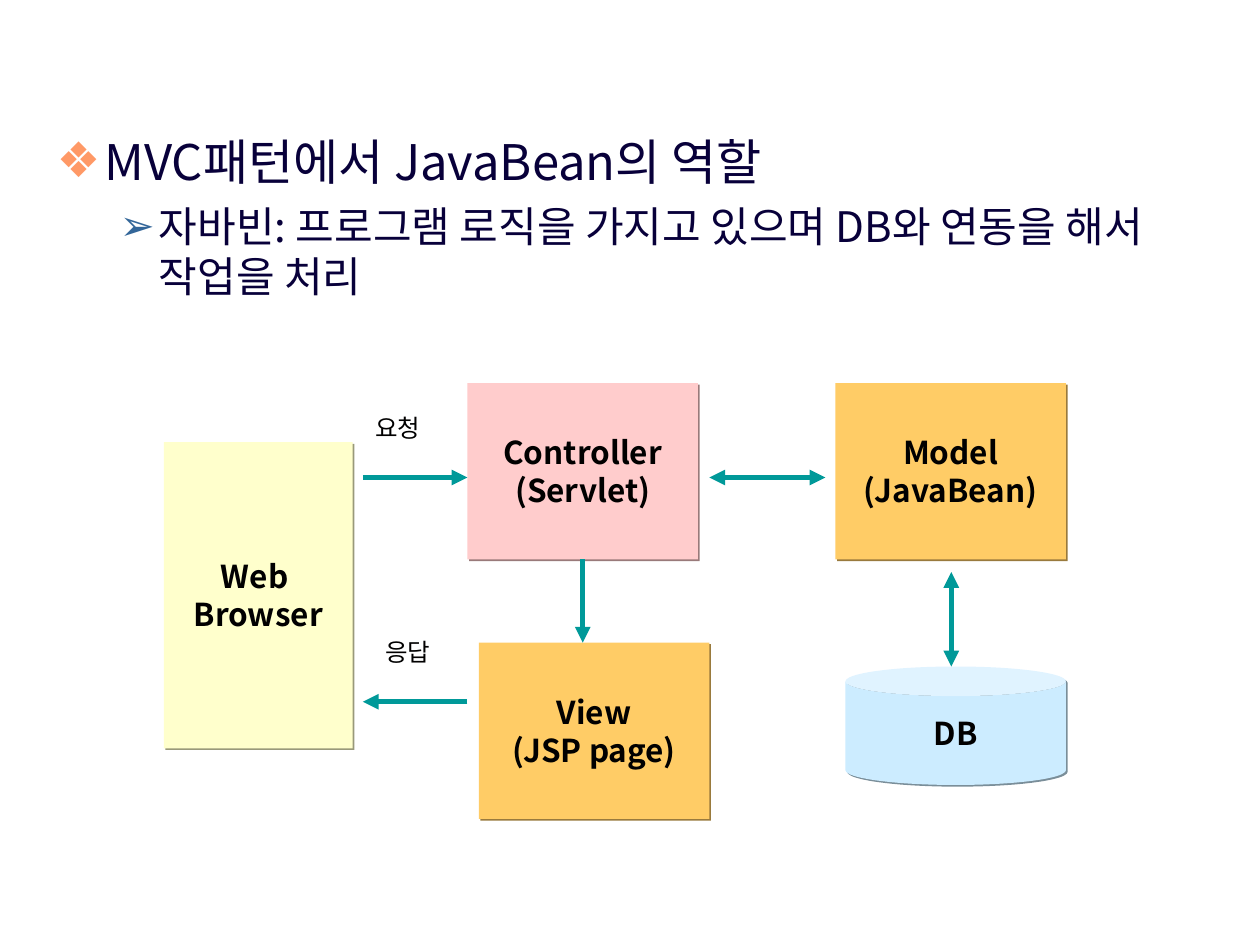
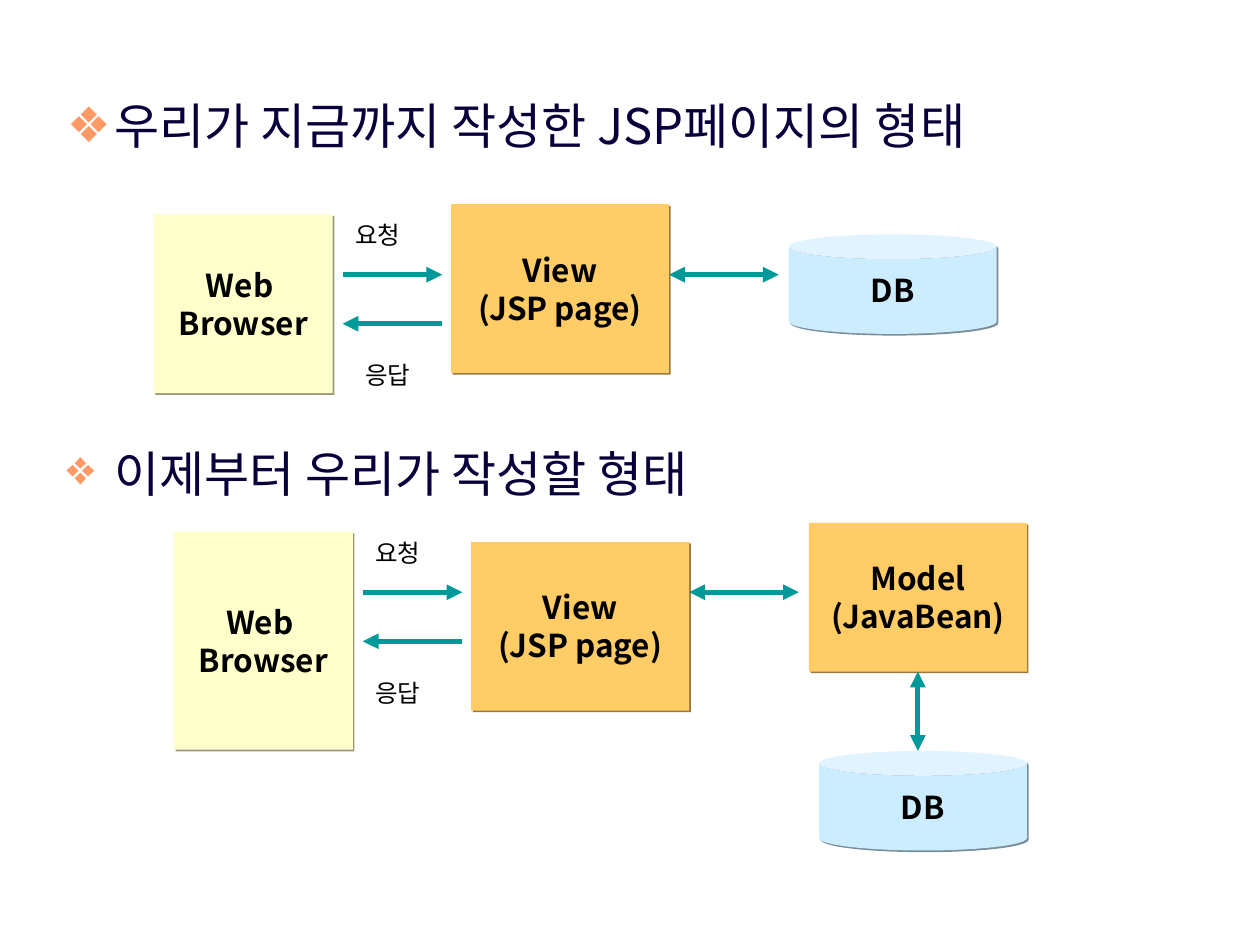
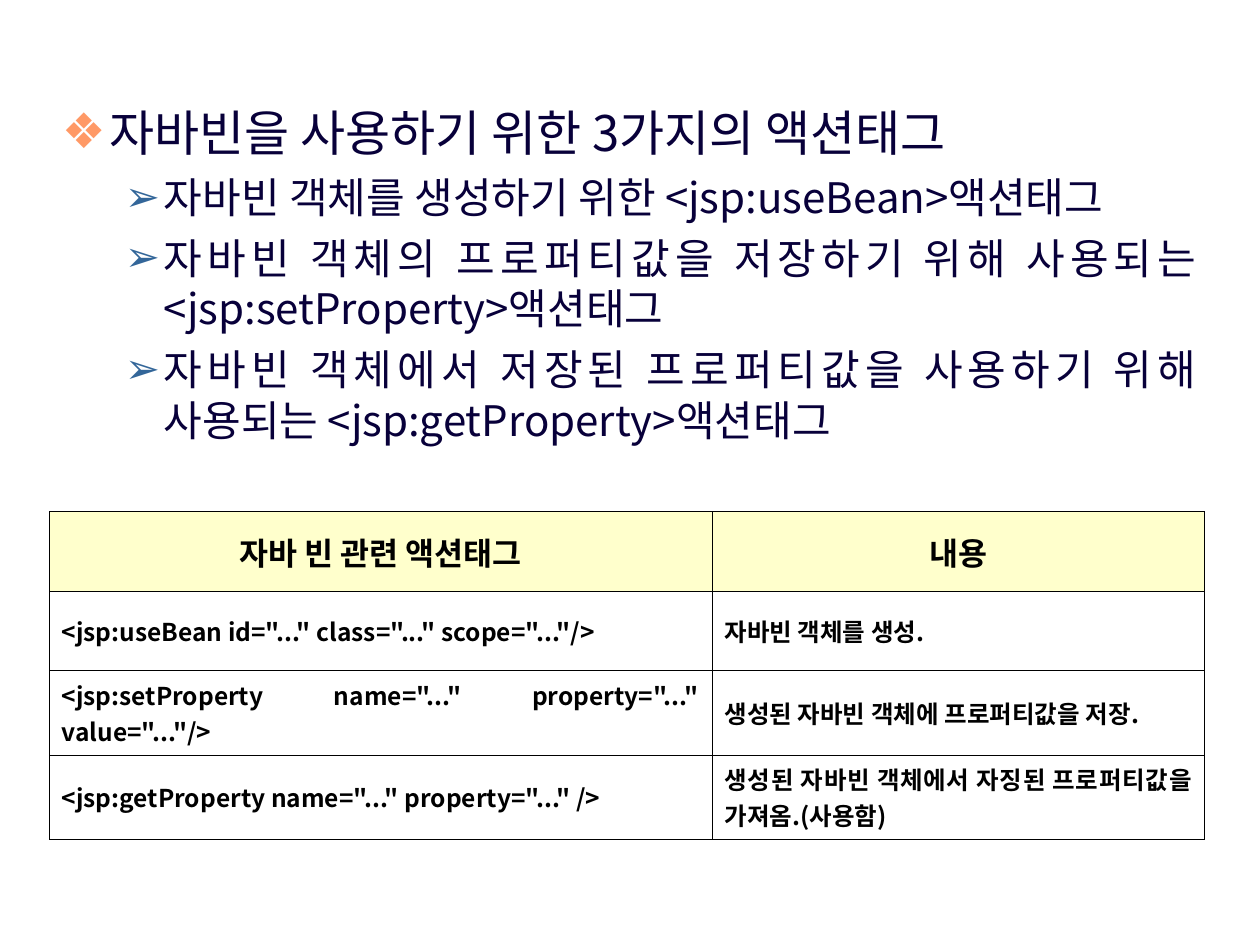
from lxml import etree
from pptx import Presentation
from pptx.dml.color import RGBColor
from pptx.enum.shapes import MSO_CONNECTOR, MSO_SHAPE
from pptx.enum.text import MSO_ANCHOR, MSO_AUTO_SIZE, PP_ALIGN
from pptx.oxml.ns import qn
from pptx.util import Inches, Pt

RECT, CAN = MSO_SHAPE.RECTANGLE, MSO_SHAPE.CAN
STRAIGHT = MSO_CONNECTOR.STRAIGHT
MIDDLE = MSO_ANCHOR.MIDDLE
NO_FIT = MSO_AUTO_SIZE.NONE
LEFT, CENTER, JUSTIFY = PP_ALIGN.LEFT, PP_ALIGN.CENTER, PP_ALIGN.JUSTIFY
BOTTOM_SITE = 2

FONT = "Noto Sans CJK KR"
COLORS = {
    "body": "08003A", "label": "010000", "black": "000000", "white": "FFFFFF",
    "diamond": "FF9966", "arrowhead": "336699", "arrow": "009999",
    "yellow": "FFFFCC", "orange": "FFCC66", "pink": "FFCCCC", "blue": "CCECFF",
}
SHADOWS = {"yellow": "99997A", "orange": "997A3D", "pink": "997A7A", "blue": "7A8E99"}
BULLETS = [
    {"char": "❖", "color": "diamond", "left": 0.38, "hang": 0.38, "size": 28, "before": 7},
    {"char": "➢", "color": "arrowhead", "left": 0.81, "hang": 0.31, "size": 24, "before": 6},
]
COLUMNS, ROWS = 100, 75


def add_xml(parent, tag, **attrs):
    return etree.SubElement(parent, qn(tag), {k: str(v) for k, v in attrs.items()})


class Deck:
    def __init__(self):
        self.prs = Presentation()
        self.prs.slide_width, self.prs.slide_height = Inches(10), Inches(7.5)
        self.slide = None

    def new_slide(self):
        self.slide = self.prs.slides.add_slide(self.prs.slide_layouts[1])
        title = self.slide.shapes.title.element
        title.getparent().remove(title)

    def x(self, columns):
        return round(self.prs.slide_width * columns / COLUMNS)

    def y(self, rows):
        return round(self.prs.slide_height * rows / ROWS)

    def area(self, left, top, width, height):
        return self.x(left), self.y(top), self.x(width), self.y(height)

    def style(self, p, size, color, bold=False, align=LEFT):
        p.alignment = align
        for r in p.runs:
            r.font.size, r.font.bold, r.font.name = Pt(size), bold, FONT
            r.font.color.rgb = RGBColor.from_string(COLORS[color])
            add_xml(r.font._element, "a:ea", typeface=FONT)

    def bullets(self, sp, items, align=LEFT, spacing=1.0):
        tf = sp.text_frame
        tf.word_wrap, tf.auto_size = True, NO_FIT
        tf.text = "\n".join(text for _, text in items)
        for i, (p, (level, _)) in enumerate(zip(tf.paragraphs, items)):
            b = BULLETS[level]
            p.level = level
            pPr = p._p.get_or_add_pPr()
            pPr.set("marL", str(Inches(b["left"])))
            pPr.set("indent", str(-Inches(b["hang"])))
            add_xml(add_xml(pPr, "a:buClr"), "a:srgbClr", val=COLORS[b["color"]])
            add_xml(pPr, "a:buChar", char=b["char"])
            p.space_before = Pt(b["before"] if i else 0)
            p.line_spacing = spacing
            self.style(p, b["size"], "body", align=align)

    def body(self, area, items, **options):
        sp = self.slide.placeholders[1]
        sp.left, sp.top, sp.width, sp.height = self.area(*area)
        self.bullets(sp, items, **options)

    def heading(self, area, text, **options):
        self.bullets(self.slide.shapes.add_textbox(*self.area(*area)), [(0, text)], **options)

    def label(self, left, top, text):
        sp = self.slide.shapes.add_textbox(*self.area(left, top, 7.5, 3.4))
        sp.text_frame.word_wrap = True
        sp.text_frame.text = text
        self.style(sp.text_frame.paragraphs[0], 14, "label")

    def box(self, area, text, color, kind=RECT):
        sp = self.slide.shapes.add_shape(kind, *self.area(*area))
        sp.fill.solid()
        sp.fill.fore_color.rgb = RGBColor.from_string(COLORS[color])
        sp.line.fill.background()
        sp.shadow.inherit = False
        effects = sp.element.spPr.find(qn("a:effectLst"))
        shadow = add_xml(effects, "a:outerShdw", blurRad=0, dist=Pt(1.4),
                         dir=45 * 60000, algn="ctr", rotWithShape=0)
        add_xml(shadow, "a:srgbClr", val=SHADOWS[color])
        tf = sp.text_frame
        tf.word_wrap, tf.vertical_anchor = False, MIDDLE
        tf.text = text
        for p in tf.paragraphs:
            self.style(p, 18, "label", True, CENTER)
        return sp

    def browser(self, area):
        return self.box(area, "Web \nBrowser", "yellow")

    def view(self, area):
        return self.box(area, "View\n(JSP page)", "orange")

    def model(self, area):
        return self.box(area, "Model\n(JavaBean)", "orange")

    def database(self, area):
        return self.box(area, "DB", "blue", CAN)

    def arrow(self, x1, y1, x2, y2, both=False, below=None):
        c = self.slide.shapes.add_connector(
            STRAIGHT, self.x(x1), self.y(y1), self.x(x2), self.y(y2))
        if below is not None:
            c.begin_connect(below, BOTTOM_SITE)
        c.line.width = Pt(3)
        c.line.color.rgb = RGBColor.from_string(COLORS["arrow"])
        spPr = c.element.spPr
        ln = spPr.find(qn("a:ln"))
        if both:
            add_xml(ln, "a:headEnd", type="triangle")
        add_xml(ln, "a:tailEnd", type="triangle")
        add_xml(spPr, "a:effectLst")

    def jsp_exchange(self, left, top, browser_height, view_top, reply_left):
        start, end = left + 15, left + 22.9
        self.browser((left, top, 14.2, browser_height))
        self.view((left + 23.6, view_top, 17.3, 13.4))
        self.arrow(start, top + 4.8, end, top + 4.8)
        self.arrow(end, top + 8.7, start, top + 8.7)
        self.arrow(left + 40.9, top + 4.8, left + 49.6, top + 4.8, both=True)
        self.label(start, top, "요청")
        self.label(reply_left, top + 11.1, "응답")

    def cell(self, cell, text, size, fill, align):
        tcPr = cell._tc.get_or_add_tcPr()
        for side in ("a:lnL", "a:lnR", "a:lnT", "a:lnB"):
            ln = add_xml(tcPr, side, w=Pt(0.06))
            add_xml(add_xml(ln, "a:solidFill"), "a:srgbClr", val=COLORS["black"])
        cell.fill.solid()
        cell.fill.fore_color.rgb = RGBColor.from_string(COLORS[fill])
        cell.vertical_anchor = MIDDLE
        cell.text = text
        self.style(cell.text_frame.paragraphs[0], size, "black", True, align)

    def table(self, left, top, widths, heights, rows):
        area = self.area(left, top, sum(widths), sum(heights))
        table = self.slide.shapes.add_table(len(rows), len(widths), *area).table
        for column, width in zip(table.columns, widths):
            column.width = self.x(width)
        for i, (row, height) in enumerate(zip(rows, heights)):
            table.rows[i].height = self.y(height)
            look = (14, "white", JUSTIFY) if i else (18, "yellow", CENTER)
            for j, text in enumerate(row):
                self.cell(table.cell(i, j), text, *look)


def mvc_slide(deck):
    deck.new_slide()
    deck.body((3.5, 9.9, 92.1, 15.7), [
        (0, "MVC패턴에서 JavaBean의 역할"),
        (1, "자바빈: 프로그램 로직을 가지고 있으며 DB와 연동을 해서 작업을 처리"),
    ])
    deck.browser((13, 35.1, 15, 24.3))
    deck.view((38, 51, 18.3, 14))
    controller = deck.box((37.1, 30.4, 18.3, 14), "Controller\n(Servlet)", "pink")
    deck.model((66.3, 30.4, 18.3, 14))
    deck.database((67.1, 52.9, 17.5, 9.4))
    deck.arrow(28.8, 37.9, 37.1, 37.9)
    deck.arrow(37.1, 55.7, 28.8, 55.7)
    deck.arrow(46.25, 44.4, 46.25, 51, below=controller)
    deck.arrow(56.3, 37.9, 65.5, 37.9, both=True)
    deck.arrow(75.5, 45.4, 75.5, 52.9, both=True)
    deck.label(28.8, 32.3, "요청")
    deck.label(29.6, 50.1, "응답")


def page_forms_slide(deck):
    deck.new_slide()
    deck.body((4.3, 7.6, 92.1, 5.5), [(0, "우리가 지금까지 작성한 JSP페이지의 형태")], spacing=0.9)
    deck.heading((4.3, 35.2, 92.1, 5.5), "이제부터 우리가 작성할 형태", spacing=0.9)
    deck.jsp_exchange(12.2, 17, 14.2, 16.2, 28)
    deck.database((62.6, 18.6, 16.5, 7.9))
    deck.jsp_exchange(13.8, 42.2, 17.3, 43, 28.8)
    model = deck.model((64.2, 41.5, 17.3, 11.8))
    deck.database((65, 59.6, 16.5, 7.9))
    deck.arrow(72.85, 53.3, 72.85, 59.6, both=True, below=model)


def action_tags_slide(deck):
    deck.new_slide()
    deck.body((3.9, 7.6, 92.1, 28.8), [
        (0, "자바빈을 사용하기 위한 3가지의 액션태그"),
        (1, "자바빈 객체를 생성하기 위한 <jsp:useBean>액션태그"),
        (1, "자바빈 객체의 프로퍼티값을 저장하기 위해 사용되는<jsp:setProperty>액션태그"),
        (1, "자바빈 객체에서 저장된 프로퍼티값을 사용하기 위해 사용되는 <jsp:getProperty>액션태그"),
    ], align=JUSTIFY)
    deck.table(3.9, 40.6, [52.6, 39.1], [6.3, 6.3, 6.7, 6.7], [
        ("자바 빈 관련 액션태그", "내용"),
        ('<jsp:useBean id="..." class="..." scope="..."/>', "자바빈 객체를 생성."),
        ('<jsp:setProperty name="..." property="..." value="..."/>',
         "생성된 자바빈 객체에 프로퍼티값을 저장."),
        ('<jsp:getProperty name="..." property="..." />',
         "생성된 자바빈 객체에서 자징된 프로퍼티값을 가져옴.(사용함)"),
    ])


def main():
    deck = Deck()
    mvc_slide(deck)
    page_forms_slide(deck)
    action_tags_slide(deck)
    deck.prs.save("out.pptx")


if __name__ == "__main__":
    main()
